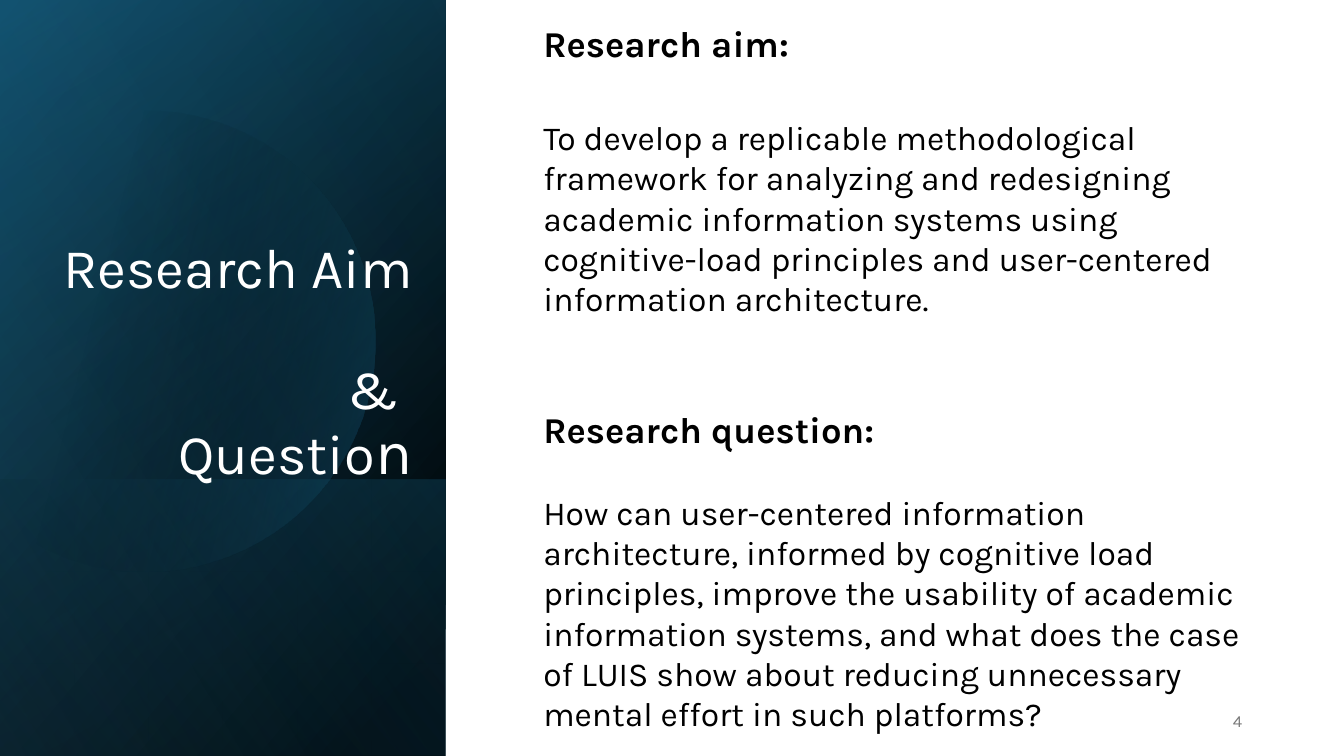
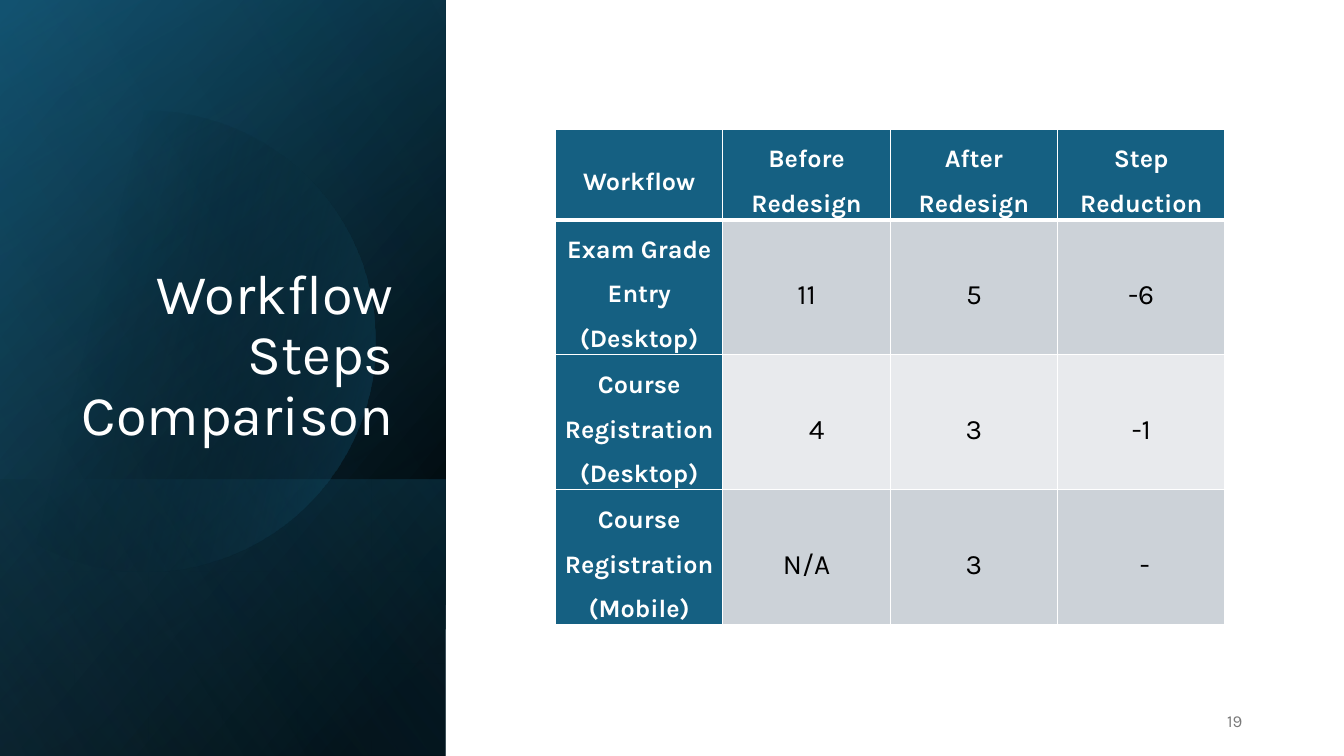
from dataclasses import dataclass

from lxml import etree
from pptx import Presentation
from pptx.dml.color import RGBColor
from pptx.enum.shapes import MSO_SHAPE
from pptx.enum.text import MSO_ANCHOR, MSO_AUTO_SIZE, PP_ALIGN
from pptx.oxml import parse_xml
from pptx.oxml.ns import nsdecls, qn
from pptx.util import Inches, Pt

RECT = MSO_SHAPE.RECTANGLE
RIGHT, CENTER, LEFT = PP_ALIGN.RIGHT, PP_ALIGN.CENTER, PP_ALIGN.LEFT
BOTTOM, MIDDLE = MSO_ANCHOR.BOTTOM, MSO_ANCHOR.MIDDLE
NO_FIT = MSO_AUTO_SIZE.NONE

FONT = "Karla"
WHITE, BLACK, GREY = "FFFFFF", "000000", "797979"
BLUE, NAVY, SKY = "156082", "104862", "46B1E1"
ROW_FILLS = ("CCD2D8", "E8EAED")
BAND_W = 4.42
TITLE_SIZE = 40


@dataclass
class Stop:
    pos: int
    color: str
    alpha: int = 100


@dataclass
class Layer:
    """Gradient rectangle of the left band, turned by a quarter."""
    top: float
    height: float
    angle: int
    stops: tuple[Stop, ...]


@dataclass
class Para:
    text: str
    size: int
    bold: bool = False
    before: float = 0


@dataclass
class Cell:
    text: str
    indent: float = 0


LOWER_LAYERS = (
    Layer(0, 7.5, 50, (Stop(8, BLACK), Stop(100, NAVY))),
    Layer(0, 7.5, 30, (Stop(0, BLACK, 0), Stop(99, BLUE, 46))),
    Layer(4.76, 2.74, 130, (Stop(2, BLUE, 29), Stop(100, BLACK, 30))),
)
TOP_LAYER = Layer(0, 7.5, 120, (Stop(0, BLACK, 0), Stop(99, SKY, 11)))
DISC_STOPS = (Stop(29, BLACK, 0), Stop(100, BLUE, 43))
DISC_START = (1.49, 1.1)
# Two control points and an end point for each curve
DISC_CURVES = (
    ((2.46, 1.12), (3.35, 1.77), (3.63, 2.75)),
    ((3.98, 3.97), (3.28, 5.23), (2.07, 5.58)),
    ((1.31, 5.8), (0.53, 5.61), (0, 5.14)),
    ((0, 5.14), (0, 1.61), (0, 1.61)),
    ((0.23, 1.42), (0.5, 1.28), (0.8, 1.19)),
    ((1.03, 1.13), (1.26, 1.1), DISC_START),
)

AIMS = (
    Para("Research aim:", 26, True),
    Para("To develop a replicable methodological framework for analyzing and "
         "redesigning academic information systems using cognitive-load principles "
         "and user-centered information architecture.", 24, before=37),
    Para("Research question:", 26, True, 63.5),
    Para("How can user-centered information architecture, informed by cognitive load "
         "principles, improve the usability of academic information systems, and what "
         "does the case of LUIS show about reducing unnecessary mental effort in such "
         "platforms?", 24, before=29),
)

STEPS = (
    (Cell("Workflow"), Cell("Before Redesign"), Cell("After Redesign"),
     Cell("Step Reduction")),
    (Cell("Exam Grade Entry (Desktop)"), Cell("11"), Cell("5"), Cell("-6")),
    (Cell("Course Registration (Desktop)"), Cell("4", 0.2), Cell("3"), Cell("-1")),
    (Cell("Course Registration (Mobile)"), Cell("N/A"), Cell("3"), Cell("-", 0.07)),
)


def rgb(color: str) -> RGBColor:
    return RGBColor.from_string(color)


def style(font, size: float, color: str, bold: bool = False) -> None:
    values = {"name": FONT, "size": Pt(size), "bold": bold}
    for name, value in values.items():
        setattr(font, name, value)
    font.color.rgb = rgb(color)


def set_frame(tf, anchor) -> None:
    values = {"word_wrap": True, "auto_size": NO_FIT, "vertical_anchor": anchor}
    for name, value in values.items():
        setattr(tf, name, value)


def add_run(p, text: str, size: float, color: str, bold: bool = False) -> None:
    r = p.add_run()
    r.text = text
    style(r.font, size, color, bold)


def fill_gradient(sp, stops: tuple[Stop, ...], angle: int) -> None:
    sp.shadow.inherit = False
    sp.line.fill.background()
    marks = "".join(
        f'<a:gs pos="{st.pos * 1000}"><a:srgbClr val="{st.color}">'
        f'<a:alpha val="{st.alpha * 1000}"/></a:srgbClr></a:gs>' for st in stops)
    grad = parse_xml(
        f'<a:gradFill {nsdecls("a")} rotWithShape="1"><a:gsLst>{marks}</a:gsLst>'
        f'<a:lin ang="{angle * 60000}" scaled="0"/></a:gradFill>')
    sp.element.spPr.find(qn("a:ln")).addprevious(grad)


def add_layer(s, layer: Layer) -> None:
    # Unturned frame that shares its centre with the visible area
    left = (BAND_W - layer.height) / 2
    top = layer.top + (layer.height - BAND_W) / 2
    sp = s.shapes.add_shape(RECT, Inches(left), Inches(top),
                            Inches(layer.height), Inches(BAND_W))
    sp.rotation = 90
    sp.element.spPr.find(qn("a:xfrm")).set("flipH", "1")
    fill_gradient(sp, layer.stops, layer.angle)


def add_disc(s, steps: int = 20) -> None:
    points, start = [], DISC_START
    for c1, c2, end in DISC_CURVES:
        for i in range(1, steps + 1):
            t = i / steps
            u = 1 - t
            points.append(tuple(
                Inches(u**3 * a + 3 * u * u * t * b + 3 * u * t * t * c + t**3 * d)
                for a, b, c, d in zip(start, c1, c2, end)))
        start = end
    builder = s.shapes.build_freeform(*map(Inches, DISC_START))
    builder.add_line_segments(points, close=True)
    fill_gradient(builder.convert_to_shape(), DISC_STOPS, 14)


def add_text(s, left: float, top: float, width: float, height: float):
    box = s.shapes.add_textbox(*map(Inches, (left, top, width, height)))
    set_frame(box.text_frame, MIDDLE)
    return box.text_frame


def add_base(prs, number: int, title_box: tuple[float, ...]):
    """Slide with its band and page number; returns it with its title frame."""
    s = prs.slides.add_slide(prs.slide_layouts[5])
    for layer in LOWER_LAYERS:
        add_layer(s, layer)
    add_disc(s)
    add_layer(s, TOP_LAYER)

    # Title in front of the band
    title = s.shapes.title
    title.element.getparent().append(title.element)
    for name, value in zip(("left", "top", "width", "height"), title_box):
        setattr(title, name, Inches(value))
    set_frame(title.text_frame, BOTTOM)

    p = add_text(s, 9.42, 6.95, 3, 0.4).paragraphs[0]
    p.alignment = RIGHT
    add_run(p, str(number), 12, GREY)
    return s, title.text_frame


def title_paragraph(p) -> None:
    p.alignment = RIGHT
    p.line_spacing = 0.9


def set_border(cell, side: str, width: float) -> None:
    ln = etree.SubElement(cell._tc.get_or_add_tcPr(), qn(f"a:ln{side}"),
                          w=str(Pt(width)))
    fill = etree.SubElement(ln, qn("a:solidFill"))
    etree.SubElement(fill, qn("a:srgbClr"), val=WHITE)


def fill_cell(cell, data: Cell, row: int, col: int) -> None:
    heading = row == 0 or col == 0
    widths = {"L": 1, "R": 1, "T": 3 if row == 1 else 1, "B": 3 if row == 0 else 1}
    for side, width in widths.items():
        set_border(cell, side, width)
    cell.fill.solid()
    cell.fill.fore_color.rgb = rgb(BLUE if heading else ROW_FILLS[(row - 1) % 2])
    for side in ("left", "right", "top", "bottom"):
        setattr(cell, f"margin_{side}", Inches(0.01))
    cell.margin_left = Inches(0.01 + data.indent)
    cell.vertical_anchor = MIDDLE
    p = cell.text_frame.paragraphs[0]
    p.alignment = CENTER
    p.line_spacing = 1.5
    add_run(p, data.text, 18 if heading else 20, WHITE if heading else BLACK, heading)


def aim_slide(prs) -> None:
    s, tf = add_base(prs, 4, (0.42, 2.1, 3.77, 2.79))
    p = tf.paragraphs[0]
    title_paragraph(p)
    add_run(p, "Research Aim", TITLE_SIZE, WHITE)
    p = tf.add_paragraph()
    title_paragraph(p)
    p.space_before = Pt(43)
    add_run(p, "& ", TITLE_SIZE, WHITE)
    p.add_line_break()
    add_run(p, "Questio", TITLE_SIZE, WHITE)
    add_run(p, "n", 44, WHITE)

    # Aim and question
    tf = add_text(s, 5.29, 0.71, 7.14, 6.07)
    for i, para in enumerate(AIMS):
        p = tf.add_paragraph() if i else tf.paragraphs[0]
        p.alignment = LEFT
        if para.before:
            p.space_before = Pt(para.before)
        add_run(p, para.text, para.size, BLACK, para.bold)


def steps_slide(prs) -> None:
    s, tf = add_base(prs, 19, (0.5, 2.52, 3.5, 1.97))
    title_paragraph(tf.paragraphs[0])
    add_run(tf.paragraphs[0], "Workflow Steps Comparison", TITLE_SIZE, WHITE)

    # Steps before and after
    frame = s.shapes.add_table(len(STEPS), len(STEPS[0]), Inches(5.51), Inches(1.28),
                               Inches(6.65), Inches(4.91))
    table = frame.table
    for column in table.columns:
        column.width = Inches(1.66)
    for r, cells in enumerate(STEPS):
        table.rows[r].height = Inches(1.34 if r else 0.89)
        for c, data in enumerate(cells):
            fill_cell(table.cell(r, c), data, r, c)


def main() -> None:
    prs = Presentation()
    prs.slide_width, prs.slide_height = Inches(13.33), Inches(7.5)
    aim_slide(prs)
    steps_slide(prs)
    prs.save("out.pptx")


if __name__ == "__main__":
    main()
